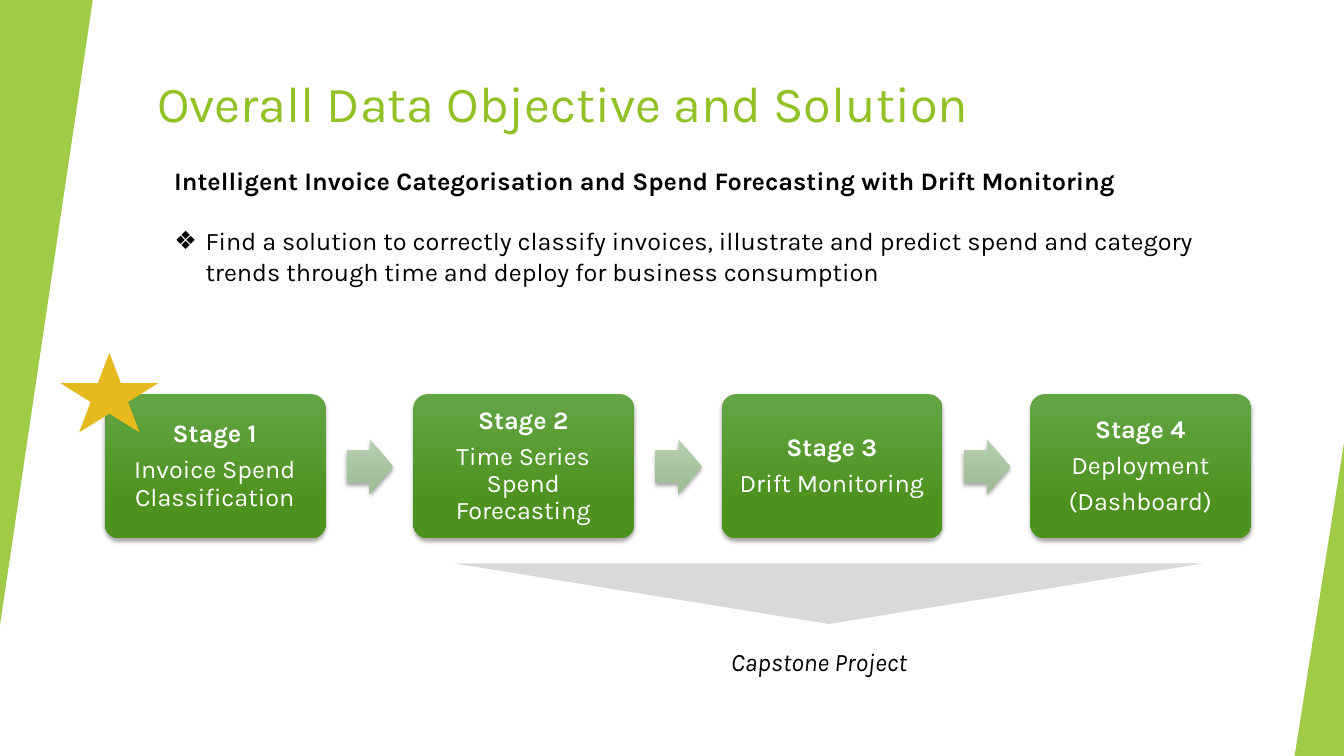
import pptx
import pptx.dml.color
import pptx.enum.shapes
import pptx.enum.text
import pptx.oxml
import pptx.oxml.ns
import pptx.util

Inches = pptx.util.Inches
Pt = pptx.util.Pt
SHAPE = pptx.enum.shapes.MSO_SHAPE
ALIGN = pptx.enum.text.PP_ALIGN
ANCHOR = pptx.enum.text.MSO_ANCHOR

COLORS = {
    "lime": "90C226",
    "white": "FFFFFF",
    "black": "000000",
    "stage_top": "63A545",
    "stage_bottom": "4D921E",
    "arrow_top": "B7CFB1",
    "arrow_bottom": "A2BF9A",
    "bracket": "D9D9D9",
    "star": "E6B91E",
}
NS = pptx.oxml.ns.nsdecls("a")


def rgb(name):
    return pptx.dml.color.RGBColor.from_string(COLORS[name])


class SlideBuilder:
    """Holds the text style and the slide being built."""

    def __init__(self, slide, font="Karla", size=18):
        self.slide = slide
        self.font = font
        self.size = size

    def shape(self, kind, box, adjustments=(), rotation=0):
        shape = self.slide.shapes.add_shape(kind, *map(Inches, box))
        shape.shadow.inherit = False
        shape.line.fill.background()
        shape.rotation = rotation
        for index, value in enumerate(adjustments):
            shape.adjustments[index] = value
        return shape

    def solid(self, kind, box, color, adjustments=(), rotation=0, opacity=100):
        shape = self.shape(kind, box, adjustments, rotation)
        shape.fill.solid()
        shape.fill.fore_color.rgb = rgb(color)
        if opacity < 100:
            fill_color = shape.fill._xPr.find(".//" + pptx.oxml.ns.qn("a:srgbClr"))
            fill_color.append(pptx.oxml.parse_xml(f'<a:alpha {NS} val="{opacity * 1000}"/>'))

    def raised(self, kind, box, top, bottom, adjustments):
        """Shape with a vertical gradient and a soft shadow below."""
        shape = self.shape(kind, box, adjustments)
        shape.fill.gradient()
        shape.fill.gradient_angle = 270
        for stop, color, position in zip(shape.fill.gradient_stops, (top, bottom), (0, 0.78)):
            stop.color.rgb = rgb(color)
            stop.position = position
        effects = shape._element.spPr.find(pptx.oxml.ns.qn("a:effectLst"))
        effects.append(pptx.oxml.parse_xml(
            f'<a:outerShdw {NS} blurRad="{Pt(3)}" dist="{Pt(2)}" dir="5400000" rotWithShape="0">'
            '<a:srgbClr val="000000"><a:alpha val="35000"/></a:srgbClr></a:outerShdw>'))

    def text(self, box, lines, color="black", size=None, bold_first=False,
             italic=False, wrap=True, inset=None):
        frame = self.slide.shapes.add_textbox(*map(Inches, box)).text_frame
        frame.word_wrap = wrap
        if inset is not None:
            frame.margin_left = frame.margin_right = Inches(inset)
            frame.margin_top = frame.margin_bottom = Inches(inset)
        frame.text = "\n".join(lines)
        for index, paragraph in enumerate(frame.paragraphs):
            font = paragraph.runs[0].font
            font.name = self.font
            font.size = Pt(size or self.size)
            font.bold = bold_first and index == 0
            font.italic = italic
            font.color.rgb = rgb(color)
        return frame

    def indent(self, paragraph, left, hanging=0, bullet=None):
        properties = paragraph._p.get_or_add_pPr()
        properties.set("marL", str(Inches(left)))
        properties.set("indent", str(Inches(-hanging)))
        if bullet:
            properties.append(pptx.oxml.parse_xml(f'<a:buFont {NS} typeface="Wingdings"/>'))
            properties[-1].set("typeface", "Arial")
            properties.append(pptx.oxml.parse_xml(f'<a:buChar {NS} char="{bullet}"/>'))

    def stage(self, left, lines):
        self.raised(SHAPE.ROUNDED_RECTANGLE, (left, 3.91, 2.19, 1.43),
                    "stage_top", "stage_bottom", (0.1,))
        frame = self.text((left + 0.04, 3.95, 2.1, 1.35), lines, "white",
                          bold_first=True, inset=0.07)
        frame.vertical_anchor = ANCHOR.MIDDLE
        for paragraph in frame.paragraphs:
            paragraph.alignment = ALIGN.CENTER
            paragraph.line_spacing = 0.9
            paragraph.space_after = Pt(6.3)

    def arrow(self, left):
        self.raised(SHAPE.RIGHT_ARROW, (left, 4.36, 0.46, 0.54),
                    "arrow_top", "arrow_bottom", (0.6, 0.5))


def main():
    deck = pptx.Presentation()
    deck.slide_width = Inches(13.33)
    deck.slide_height = Inches(7.5)
    builder = SlideBuilder(deck.slides.add_slide(deck.slide_layouts[6]))

    # Title and side wedges
    builder.text((1.46, 0.67, 9.4, 0.84), ["Overall Data Objective and Solution"],
                 "lime", size=36)
    triangle = SHAPE.ISOSCELES_TRIANGLE
    builder.solid(triangle, (0, 0, 0.92, 6.2), "lime", (1,), rotation=180, opacity=85)
    builder.solid(triangle, (12.84, 4.39, 0.49, 3.11), "lime", (1,), opacity=85)

    # Four stages joined by arrows
    stages = [
        ["Stage 1", "Invoice Spend Classification"],
        ["Stage 2", "Time Series Spend Forecasting"],
        ["Stage 3", "Drift Monitoring"],
        ["Stage 4", "Deployment", "(Dashboard)"],
    ]
    for index, lines in enumerate(stages):
        left = 1.04 + 3.06 * index
        builder.stage(left, lines)
        if index < len(stages) - 1:
            builder.arrow(left + 2.4)

    # Objective
    objective = builder.text((1.25, 1.59, 10.84, 1.31), [
        "Intelligent Invoice Categorisation and Spend Forecasting with Drift Monitoring",
        "Find a solution to correctly classify invoices, illustrate and predict spend and "
        "category trends through time and deploy for business consumption",
    ], bold_first=True)
    heading, goal = objective.paragraphs
    heading.space_after = Pt(21.5)
    builder.indent(heading, 0.38)
    builder.indent(goal, 0.69, hanging=0.31, bullet="❖")

    # Capstone bracket and star
    builder.solid(triangle, (4.51, 5.59, 7.42, 0.6), "bracket", (0.5,), rotation=180)
    builder.text((7.15, 6.36, 2.13, 0.4), ["Capstone Project"], italic=True, wrap=False)
    builder.solid(SHAPE.STAR_5_POINT, (0.6, 3.5, 0.97, 0.79), "star")

    deck.save("out.pptx")


if __name__ == "__main__":
    main()
